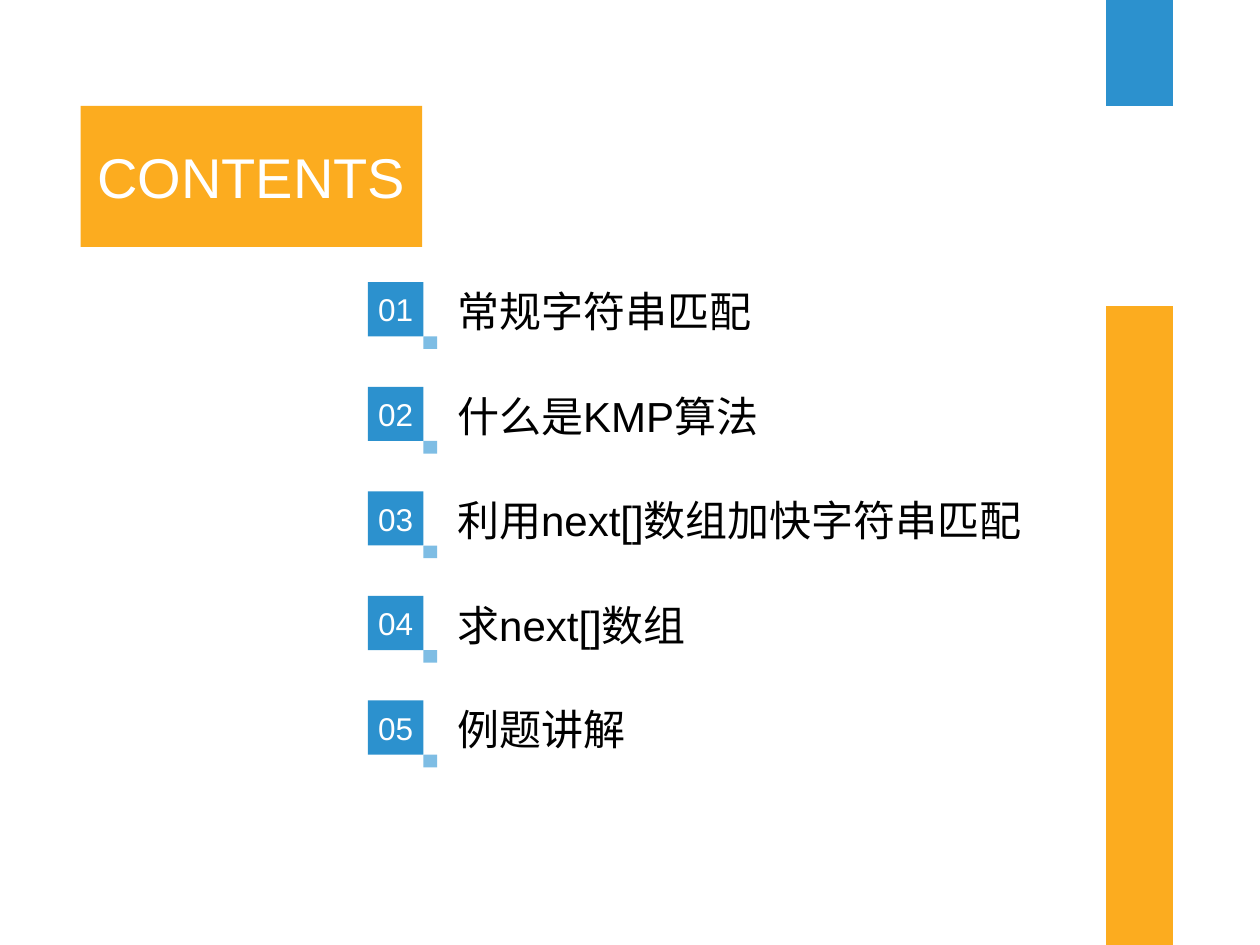
from pptx import Presentation
from pptx.dml.color import RGBColor
from pptx.enum.shapes import MSO_SHAPE
from pptx.enum.text import MSO_ANCHOR, PP_ALIGN
from pptx.util import Inches, Pt

ORANGE, BLUE, LIGHT_BLUE = "FCAC1F", "2C91CE", "7EBDE4"
WHITE, BLACK = "FFFFFF", "000000"
TOPICS = ["常规字符串匹配", "什么是KMP算法", "利用next[]数组加快字符串匹配",
          "求next[]数组", "例题讲解"]


def color(value):
    """Turn a hex string into a colour."""
    return RGBColor.from_string(value)


def put_text(sp, text, size=24, fill=BLACK, align=PP_ALIGN.LEFT, inset=(0.1, 0.05)):
    """Write one formatted line, centred vertically, into a shape."""
    tf = sp.text_frame
    tf.word_wrap = True
    tf.vertical_anchor = MSO_ANCHOR.MIDDLE
    tf.margin_left = tf.margin_right = Inches(inset[0])
    tf.margin_top = tf.margin_bottom = Inches(inset[1])
    p = tf.paragraphs[0]
    p.alignment = align
    r = p.add_run()
    r.text = text
    r.font.name = "Arial"
    r.font.size = Pt(size)
    r.font.color.rgb = color(fill)


def add_block(s, x, y, w, h, fill):
    """Add a plain filled rectangle."""
    sp = s.shapes.add_shape(MSO_SHAPE.RECTANGLE, Inches(x), Inches(y), Inches(w), Inches(h))
    sp.shadow.inherit = False
    sp.fill.solid()
    sp.fill.fore_color.rgb = color(fill)
    sp.line.fill.background()
    return sp


def add_side_bars(s, x, y, w, h):
    """Add the orange and blue bars of the right-hand column."""
    add_block(s, x, y + 2.43, w, h - 2.43, ORANGE)
    add_block(s, x, y, w, 0.84, BLUE)


def add_title(s, x, y, w, h):
    """Add the orange heading block."""
    sp = add_block(s, x, y, w, h, ORANGE)
    put_text(sp, "CONTENTS", size=32, fill=WHITE, align=PP_ALIGN.CENTER)


def add_topic(s, x, y, w, number, topic):
    """Add one numbered entry: topic text, number tile and corner square."""
    label = s.shapes.add_textbox(Inches(x + 0.61), Inches(y - 0.03), Inches(w - 0.61), Inches(0.51))
    put_text(label, topic)
    tile = add_block(s, x, y, 0.44, 0.43, BLUE)
    put_text(tile, f"{number:02d}", size=18, fill=WHITE, align=PP_ALIGN.CENTER, inset=(0, 0))
    add_block(s, x + 0.44, y + 0.43, 0.11, 0.1, LIGHT_BLUE)


def add_topics(s, x, y, w, pitch):
    """Stack the numbered entries at an even pitch."""
    for i, topic in enumerate(TOPICS):
        add_topic(s, x, y + i * pitch, w, i + 1, topic)


prs = Presentation()
prs.slide_width, prs.slide_height = Inches(10), Inches(7.5)
s = prs.slides.add_slide(prs.slide_layouts[6])
add_side_bars(s, 8.78, 0, 0.53, 7.5)
add_title(s, 0.64, 0.84, 2.71, 1.12)
add_topics(s, 2.92, 2.24, 5.5, 0.83)
prs.save("out.pptx")
